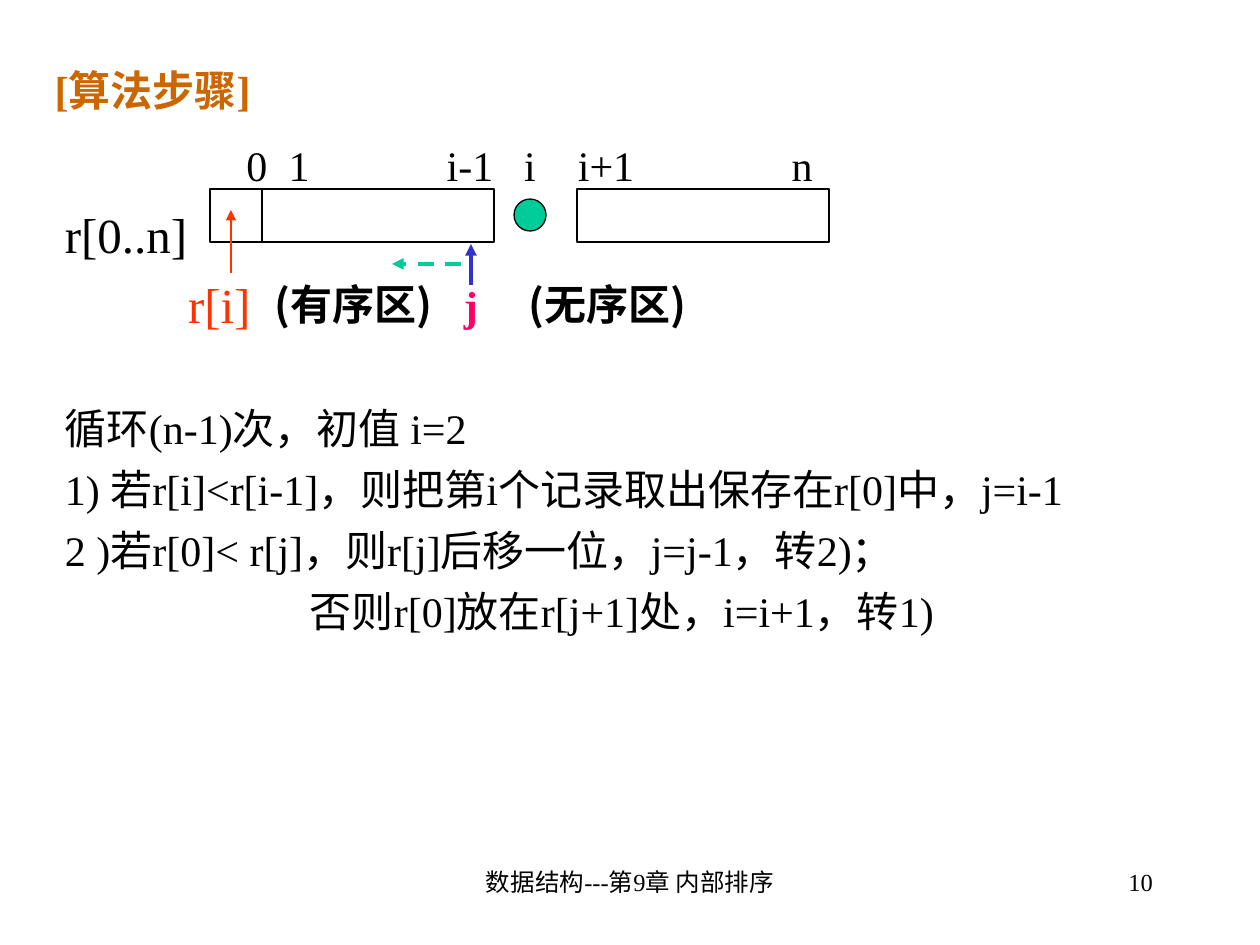
from lxml import etree
from pptx import Presentation
from pptx.dml.color import RGBColor
from pptx.enum.dml import MSO_LINE_DASH_STYLE as Dash
from pptx.enum.shapes import MSO_CONNECTOR as Connector, MSO_SHAPE as Shape
from pptx.enum.text import MSO_ANCHOR as Anchor, MSO_AUTO_SIZE as AutoSize, PP_ALIGN as Align
from pptx.oxml.ns import qn
from pptx.util import Emu, Pt

BLACK = RGBColor(0x00, 0x00, 0x00)
ORANGE = RGBColor(0xCC, 0x66, 0x00)
RED = RGBColor(0xFF, 0x33, 0x00)
GREEN = RGBColor(0x00, 0xCC, 0x99)
BLUE = RGBColor(0x33, 0x33, 0xCC)
PINK = RGBColor(0xFF, 0x00, 0x66)
SERIF = "Times New Roman"
SANS = "Noto Sans CJK SC"

# Array cells: left and width of each zone
ROW_TOP, ROW_HEIGHT = 189, 53
ZONES = [(210, 284), (577, 252)]
INDEXES = [("0", 257), ("1", 299), ("i-1", 470), ("i", 530), ("i+1", 606), ("n", 802)]
# Steps: text and left indent of the wrapped lines and of the first line
STEPS = [
    ("循环(n-1)次，初值 i=2", 47, 0),
    ("1) 若r[i]<r[i-1]，则把第i个记录取出保存在r[0]中，j=i-1", 47, 0),
    ("2 )若r[0]< r[j]，则r[j]后移一位，j=j-1，转2)；", 47, 0),
    ("否则r[0]放在r[j+1]处，i=i+1，转1)", 245, 245),
]


def px(length):
    return Emu(length * 914400 // 126)


def add_span(para, text, size, color=BLACK, bold=False, font=SERIF):
    span = para.add_run()
    span.text = text
    span.font.size = Pt(size)
    span.font.name = font
    span.font.bold = bold
    span.font.color.rgb = color


def add_box(page, left, top, width, height):
    box = page.shapes.add_textbox(px(left), px(top), px(width), px(height))
    frame = box.text_frame
    frame.word_wrap = True
    frame.margin_left = frame.margin_right = 0
    frame.margin_top = frame.margin_bottom = 0
    return frame


def add_label(page, text, left, middle, width, size=24, align=Align.LEFT, **style):
    """One line of text, centred vertically on middle."""
    frame = add_box(page, left, middle - 30, width, 60)
    frame.vertical_anchor = Anchor.MIDDLE
    para = frame.paragraphs[0]
    para.alignment = align
    add_span(para, text, size, **style)


def add_outline(page, kind, left, top, width, height, fill=None):
    shape = page.shapes.add_shape(kind, px(left), px(top), px(width), px(height))
    shape.shadow.inherit = False
    if fill is None:
        shape.fill.background()
    else:
        shape.fill.solid()
        shape.fill.fore_color.rgb = fill
    shape.line.color.rgb = BLACK
    shape.line.width = Pt(0.75)


def add_line(page, start, end, color=BLACK, width=0.75, arrow=False, dash=None):
    line = page.shapes.add_connector(Connector.STRAIGHT, *map(px, start + end))
    line.line.color.rgb = color
    line.line.width = Pt(width)
    if dash is not None:
        line.line.dash_style = dash
    if arrow:
        etree.SubElement(line.line._get_or_add_ln(), qn("a:tailEnd"), type="triangle")
    etree.SubElement(line._element.spPr, qn("a:effectLst"))


def add_title(page):
    title = page.shapes.title
    title.left, title.top, title.width, title.height = map(px, (42, 53, 1071, 73))
    frame = title.text_frame
    frame.auto_size = AutoSize.NONE
    frame.vertical_anchor = Anchor.MIDDLE
    para = frame.paragraphs[0]
    para.alignment = Align.LEFT
    add_span(para, "[算法步骤]", 24, ORANGE, bold=True)


def add_array(page):
    for text, center in INDEXES:
        add_label(page, text, center - 40, 165, 80, align=Align.CENTER)
    for left, width in ZONES:
        add_outline(page, Shape.RECTANGLE, left, ROW_TOP, width, ROW_HEIGHT)
    add_line(page, (262, ROW_TOP), (262, ROW_TOP + ROW_HEIGHT))
    add_outline(page, Shape.OVAL, 514, 199, 32, 32, GREEN)
    add_label(page, "r[0..n]", 65, 234, 140, size=28)
    add_label(page, "r[i]", 188, 304, 80, size=28, color=RED)
    for text, left in (("(有序区)", 275), ("(无序区)", 529)):
        add_label(page, text, left, 304, 190, bold=True, font=SANS)


def add_pointers(page):
    add_line(page, (231, 273), (231, 210), RED, arrow=True)
    add_line(page, (471, 285), (471, 244), BLUE, 2.25, arrow=True)
    add_line(page, (461, 264), (392, 264), GREEN, 2.25, arrow=True, dash=Dash.DASH)
    add_label(page, "j", 464, 305, 40, color=PINK, bold=True)


def add_steps(page):
    frame = add_box(page, 65, 403, 1077, 300)
    for number, (text, left, first) in enumerate(STEPS):
        para = frame.paragraphs[0] if number == 0 else frame.add_paragraph()
        properties = para._p.get_or_add_pPr()
        properties.set("marL", str(px(left)))
        properties.set("indent", str(px(first - left)))
        if number:
            para.space_before = Pt(6)
        add_span(para, text, 24)


def main():
    deck = Presentation()
    deck.slide_width, deck.slide_height = px(1260), px(945)
    page = deck.slides.add_slide(deck.slide_layouts[5])
    add_title(page)
    add_array(page)
    add_pointers(page)
    add_steps(page)
    # Footer and page number
    add_label(page, "数据结构---第9章 内部排序", 430, 882, 400, size=14, align=Align.CENTER)
    add_label(page, "10", 953, 882, 200, size=14, align=Align.RIGHT)
    deck.save("out.pptx")


if __name__ == "__main__":
    main()
